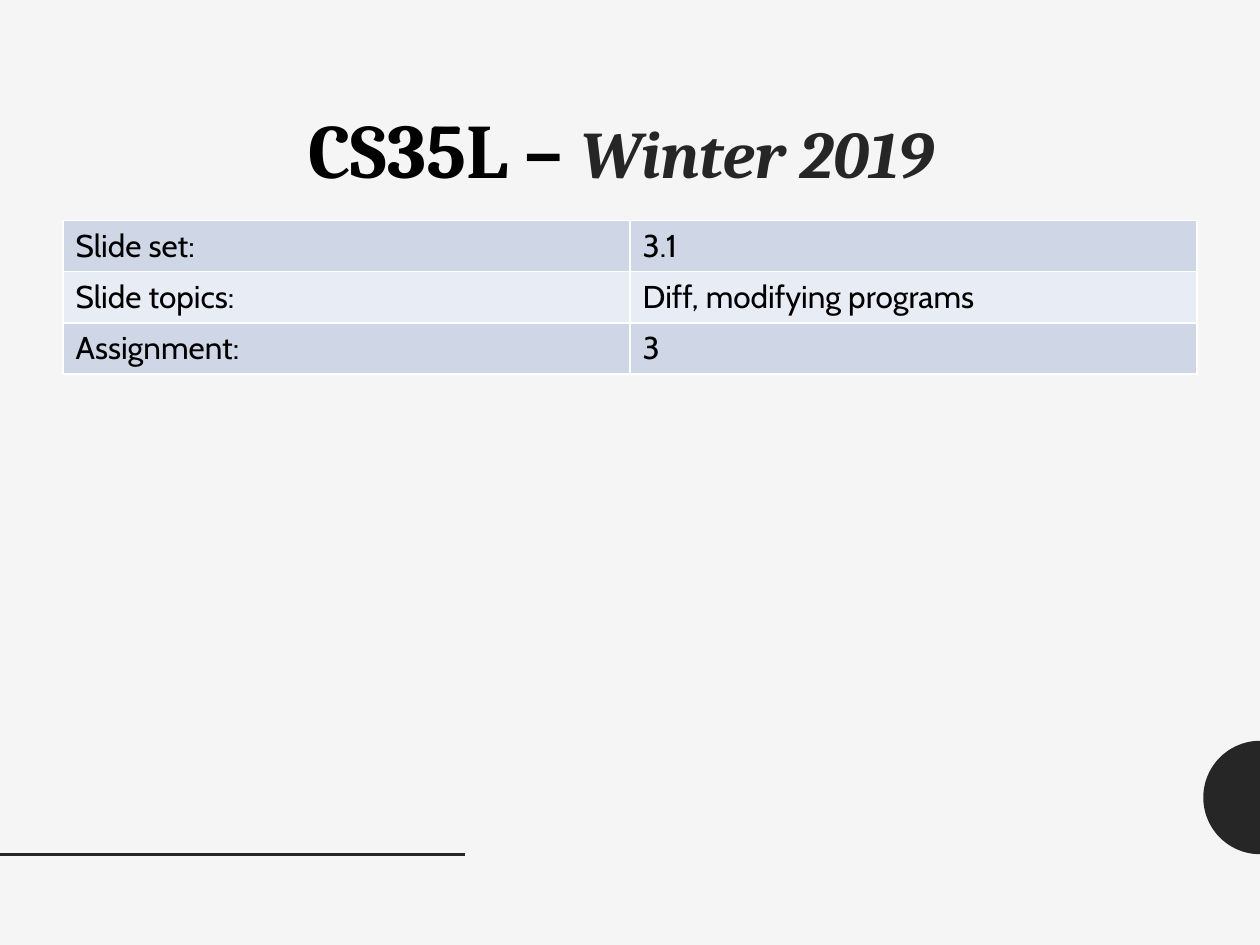
import math
from dataclasses import dataclass

import lxml.etree
import pptx
import pptx.dml.color
import pptx.enum.shapes
import pptx.enum.text
import pptx.oxml.ns
import pptx.util

Inches = pptx.util.Inches
Pt = pptx.util.Pt
qn = pptx.oxml.ns.qn


@dataclass(frozen=True)
class Theme:
    back: str = "F5F5F5"
    dark: str = "262626"
    black: str = "000000"
    white: str = "FFFFFF"
    bands: tuple = ("CFD7E7", "E8ECF4")
    head: str = "Cambria"
    body: str = "Cabin"
    course: float = 44
    term: float = 38
    cell: float = 18
    rule: float = 2
    edge: float = 1


@dataclass(frozen=True)
class Part:
    text: str
    size: float
    color: str
    slant: bool


@dataclass(frozen=True)
class Row:
    label: str
    value: str


THEME = Theme()
TITLE = (
    Part("CS35L – ", THEME.course, THEME.black, False),
    Part("Winter 2019", THEME.term, THEME.dark, True),
)
ROWS = (
    Row("Slide set:", "3.1"),
    Row("Slide topics:", "Diff, modifying programs"),
    Row("Assignment:", "3"),
)


def rgb(code: str) -> pptx.dml.color.RGBColor:
    return pptx.dml.color.RGBColor.from_string(code)


def paint(fill, code: str) -> None:
    fill.solid()
    fill.fore_color.rgb = rgb(code)


def draw_disc(slide, x: float, y: float, size: float, steps: int = 48) -> None:
    turns = [math.pi * (0.5 + i / steps) for i in range(steps + 1)]
    points = [
        (Inches(x + size * math.cos(t)), Inches(y + size * math.sin(t)))
        for t in turns
    ]
    form = slide.shapes.build_freeform(*points[0])
    form.add_line_segments(points[1:], close=True)
    disc = form.convert_to_shape()
    disc.shadow.inherit = False
    paint(disc.fill, THEME.dark)
    disc.line.fill.background()


def draw_rule(slide, width: float, y: float) -> None:
    rule = slide.shapes.add_connector(
        pptx.enum.shapes.MSO_CONNECTOR.STRAIGHT,
        Inches(0), Inches(y), Inches(width), Inches(y),
    )
    rule.line.color.rgb = rgb(THEME.dark)
    rule.line.width = Pt(THEME.rule)
    lxml.etree.SubElement(rule._element.spPr, qn("a:effectLst"))


def draw_title(slide, parts: tuple[Part, ...]) -> None:
    box = slide.shapes.add_textbox(
        Inches(0.62), Inches(0.61), Inches(8.62), Inches(1.22)
    )
    frame = box.text_frame
    frame.word_wrap = True
    frame.vertical_anchor = pptx.enum.text.MSO_ANCHOR.MIDDLE
    line = frame.paragraphs[0]
    line.alignment = pptx.enum.text.PP_ALIGN.CENTER
    line.line_spacing = 0.9
    for part in parts:
        run = line.add_run()
        run.text = part.text
        run.font.name = THEME.head
        run.font.size = Pt(part.size)
        run.font.bold = True
        run.font.italic = part.slant
        run.font.color.rgb = rgb(part.color)


def add_edges(cell) -> None:
    props = cell._tc.get_or_add_tcPr()
    for i, side in enumerate(("lnL", "lnR", "lnT", "lnB")):
        edge = lxml.etree.Element(qn(f"a:{side}"), w=str(Pt(THEME.edge)))
        fill = lxml.etree.SubElement(edge, qn("a:solidFill"))
        lxml.etree.SubElement(fill, qn("a:srgbClr"), val=THEME.white)
        props.insert(i, edge)


def fill_cell(cell, text: str, band: str) -> None:
    paint(cell.fill, band)
    add_edges(cell)
    cell.text_frame.text = text
    font = cell.text_frame.paragraphs[0].runs[0].font
    font.name = THEME.body
    font.size = Pt(THEME.cell)
    font.color.rgb = rgb(THEME.black)


def draw_table(slide, rows: tuple[Row, ...]) -> None:
    high = 1.22 / len(rows)
    table = slide.shapes.add_table(
        len(rows), 2, Inches(0.5), Inches(1.75), Inches(9), Inches(1.22)
    ).table
    table.first_row = False
    table.horz_banding = False
    for i, row in enumerate(rows):
        table.rows[i].height = Inches(high)
        band = THEME.bands[i % len(THEME.bands)]
        for j, text in enumerate((row.label, row.value)):
            fill_cell(table.cell(i, j), text, band)


def main() -> None:
    deck = pptx.Presentation()
    deck.slide_width = Inches(10)
    deck.slide_height = Inches(7.5)
    slide = deck.slides.add_slide(deck.slide_layouts[6])
    paint(slide.background.fill, THEME.back)
    draw_disc(slide, 10, 6.33, 0.45)
    draw_rule(slide, 3.69, 6.78)
    draw_title(slide, TITLE)
    draw_table(slide, ROWS)
    deck.save("out.pptx")


if __name__ == "__main__":
    main()
